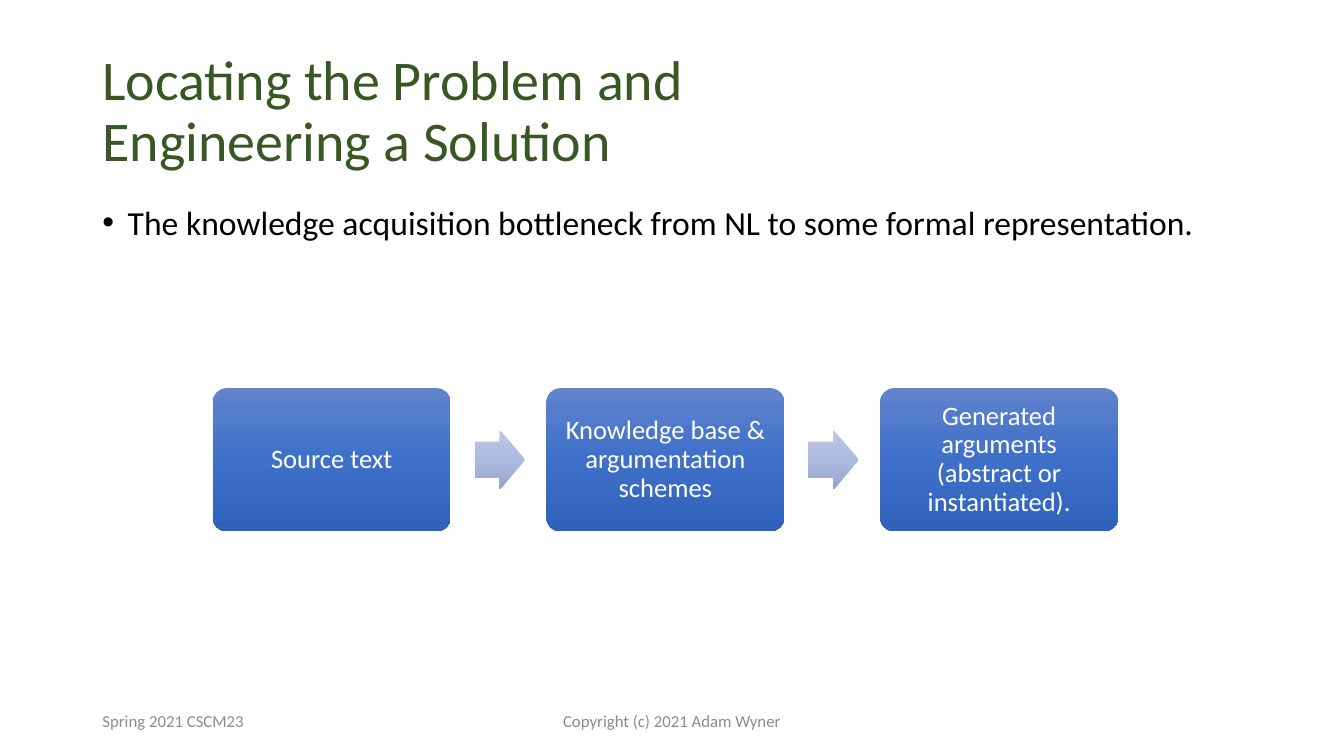
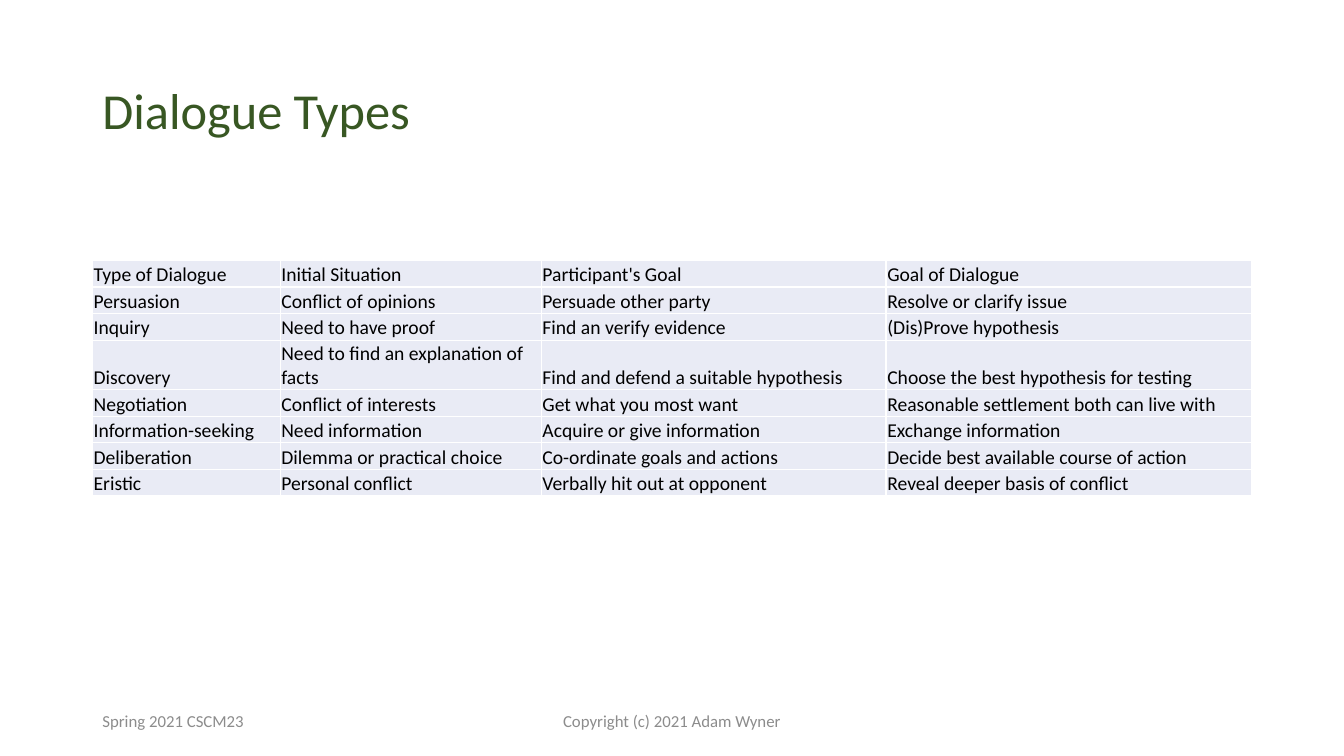
from copy import deepcopy

from pptx import Presentation
from pptx.dml.color import RGBColor
from pptx.enum.shapes import MSO_SHAPE
from pptx.enum.text import MSO_ANCHOR, PP_ALIGN
from pptx.oxml import parse_xml
from pptx.oxml.ns import nsdecls, qn
from pptx.util import Cm, Pt

FONT = "Calibri"
COLORS = {
    "title": "385723",
    "body": "000000",
    "footer": "8C8C8C",
    "step_text": "FFFFFF",
    "cell": "E9EBF5",
    "border": "FFFFFF",
}
STEP_GRADIENT = ["6183CB", "3E70CA", "3062BB"]
ARROW_GRADIENT = ["BBC5E3", "AEBBE0", "98A4CB"]

TERM = "Spring 2021 CSCM23"
COPYRIGHT = "Copyright (c) 2021 Adam Wyner"

PROBLEM_TITLE = ["Locating the Problem and", "Engineering a Solution"]
PROBLEM = "The knowledge acquisition bottleneck from NL to some formal representation."
STEPS = [
    "Source text",
    "Knowledge base & argumentation schemes",
    "Generated arguments (abstract or instantiated).",
]

DIALOGUE_TITLE = ["Dialogue Types"]
DIALOGUES = [
    ("Type of Dialogue", "Initial Situation", "Participant's Goal", "Goal of Dialogue"),
    ("Persuasion", "Conflict of opinions", "Persuade other party", "Resolve or clarify issue"),
    ("Inquiry", "Need to have proof", "Find an verify evidence", "(Dis)Prove hypothesis"),
    ("Discovery", "Need to find an explanation of facts",
     "Find and defend a suitable hypothesis", "Choose the best hypothesis for testing"),
    ("Negotiation", "Conflict of interests", "Get what you most want",
     "Reasonable settlement both can live with"),
    ("Information-seeking", "Need information", "Acquire or give information",
     "Exchange information"),
    ("Deliberation", "Dilemma or practical choice", "Co-ordinate goals and actions",
     "Decide best available course of action"),
    ("Eristic", "Personal conflict", "Verbally hit out at opponent",
     "Reveal deeper basis of conflict"),
]

# Lengths in centimetres
MARGIN, CONTENT_WIDTH = 2.33, 29.21
STEP_LEFT, STEP_TOP, STEP_WIDTH, STEP_HEIGHT, STEP_PITCH = 5.36, 9.78, 6, 3.61, 8.41
ARROW_OFFSET, ARROW_WIDTH, ARROW_HEIGHT = 6.6, 1.27, 1.5
TABLE_TOP, ROW_HEIGHT, TALL_ROW_HEIGHT = 6.56, 0.67, 1.25
COLUMN_WIDTHS = [4.73, 6.58, 8.69, 9.2]
TALL_ROW = "Discovery"


def write(frame, lines, size, color, align=PP_ALIGN.LEFT, spacing=1.0):
    """Write one paragraph, with a line break between lines, and return it."""
    frame.word_wrap = True
    paragraph = frame.paragraphs[0]
    paragraph.alignment = align
    paragraph.line_spacing = spacing
    for index, line in enumerate(lines):
        if index:
            paragraph.add_line_break()
        run = paragraph.add_run()
        run.text = line
        run.font.name = FONT
        run.font.size = Pt(size)
        run.font.color.rgb = RGBColor.from_string(COLORS[color])
    return paragraph


def add_text(slide, box, lines, size, color, anchor=MSO_ANCHOR.MIDDLE, **style):
    frame = slide.shapes.add_textbox(*map(Cm, box)).text_frame
    frame.vertical_anchor = anchor
    return write(frame, lines, size, color, **style)


def add_base_slide(deck, title, title_size):
    """Add a slide with the shared title and footers."""
    slide = deck.slides.add_slide(deck.slide_layouts[6])
    add_text(slide, (MARGIN, 1.01, CONTENT_WIDTH, 3.68), title, title_size, "title", spacing=0.9)
    add_text(slide, (MARGIN, 17.65, 7.62, 1.01), [TERM], 12, "footer")
    add_text(slide, (11.22, 17.65, 11.43, 1.01), [COPYRIGHT], 12, "footer",
             align=PP_ALIGN.CENTER)
    return slide


def add_bullet(paragraph):
    properties = paragraph._p.get_or_add_pPr()
    indent = Cm(0.64)
    properties.set("marL", str(indent))
    properties.set("indent", str(-indent))
    properties.append(parse_xml(f'<a:buFont {nsdecls("a")} typeface="Arial"/>'))
    properties.append(parse_xml(f'<a:buChar {nsdecls("a")} char="•"/>'))


def add_gradient_shape(slide, preset, box, adjustments, gradient):
    """Add a shape shaded from top to bottom through three colours."""
    shape = slide.shapes.add_shape(preset, *map(Cm, box))
    shape.shadow.inherit = False
    shape.line.fill.background()
    for index, value in enumerate(adjustments):
        shape.adjustments[index] = value
    shape.fill.gradient()
    shape.fill.gradient_angle = 270
    stop_list = shape.element.spPr.find(".//" + qn("a:gsLst"))
    stop_list.append(deepcopy(stop_list[0]))
    for index, (stop, color) in enumerate(zip(shape.fill.gradient_stops, gradient)):
        stop.position = index / (len(gradient) - 1)
        stop.color.rgb = RGBColor.from_string(color)
    return shape


def add_process(slide):
    arrow_top = STEP_TOP + (STEP_HEIGHT - ARROW_HEIGHT) / 2
    for index, label in enumerate(STEPS):
        left = STEP_LEFT + index * STEP_PITCH
        step = add_gradient_shape(slide, MSO_SHAPE.ROUNDED_RECTANGLE,
                                  (left, STEP_TOP, STEP_WIDTH, STEP_HEIGHT),
                                  [0.1], STEP_GRADIENT)
        frame = step.text_frame
        frame.margin_left = frame.margin_right = Cm(0.2)
        frame.margin_top = frame.margin_bottom = Cm(0.2)
        frame.vertical_anchor = MSO_ANCHOR.MIDDLE
        write(frame, [label], 19, "step_text", PP_ALIGN.CENTER, 0.9)
        if index < len(STEPS) - 1:
            add_gradient_shape(slide, MSO_SHAPE.RIGHT_ARROW,
                               (left + ARROW_OFFSET, arrow_top, ARROW_WIDTH, ARROW_HEIGHT),
                               [0.6, 0.5], ARROW_GRADIENT)


def style_cell(cell):
    cell.margin_left = cell.margin_right = cell.margin_top = Cm(0.03)
    cell.margin_bottom = 0
    cell.vertical_anchor = MSO_ANCHOR.BOTTOM
    properties = cell._tc.get_or_add_tcPr()
    for side in ("lnL", "lnR", "lnT", "lnB"):
        properties.append(parse_xml(
            f'<a:{side} {nsdecls("a")} w="{Pt(1)}"><a:solidFill>'
            f'<a:srgbClr val="{COLORS["border"]}"/></a:solidFill></a:{side}>'))
    cell.fill.solid()
    cell.fill.fore_color.rgb = RGBColor.from_string(COLORS["cell"])


def add_dialogue_table(slide):
    heights = [TALL_ROW_HEIGHT if row[0] == TALL_ROW else ROW_HEIGHT for row in DIALOGUES]
    table = slide.shapes.add_table(
        len(DIALOGUES), len(COLUMN_WIDTHS), Cm(MARGIN), Cm(TABLE_TOP),
        Cm(sum(COLUMN_WIDTHS)), Cm(sum(heights))).table
    table.first_row = table.horz_banding = False
    for column, width in zip(table.columns, COLUMN_WIDTHS):
        column.width = Cm(width)
    for row, height, entries in zip(table.rows, heights, DIALOGUES):
        row.height = Cm(height)
        for cell, entry in zip(row.cells, entries):
            style_cell(cell)
            write(cell.text_frame, [entry], 14, "body")


def main():
    deck = Presentation()
    deck.slide_width, deck.slide_height = Cm(33.87), Cm(19.05)

    problem_slide = add_base_slide(deck, PROBLEM_TITLE, 40)
    problem = add_text(problem_slide, (MARGIN, 5.07, CONTENT_WIDTH, 12.09), [PROBLEM], 24,
                       "body", anchor=MSO_ANCHOR.TOP, spacing=0.9)
    problem.space_before = Pt(10)
    add_bullet(problem)
    add_process(problem_slide)

    add_dialogue_table(add_base_slide(deck, DIALOGUE_TITLE, 36))
    deck.save("out.pptx")


if __name__ == "__main__":
    main()
